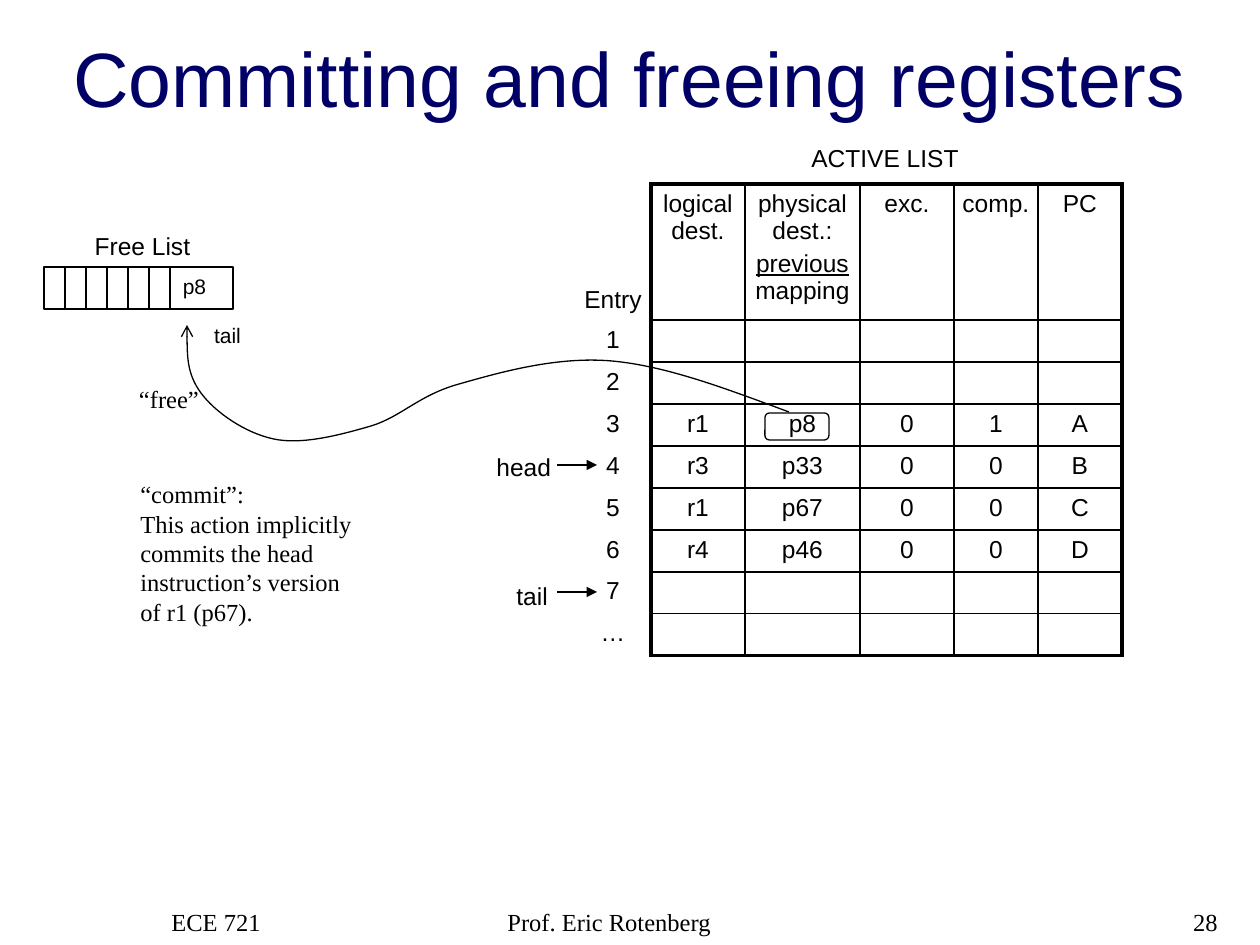
from dataclasses import dataclass

from lxml.etree import SubElement
from pptx import Presentation
from pptx.dml.color import RGBColor
from pptx.enum.shapes import MSO_CONNECTOR as Connector, MSO_SHAPE as Shape
from pptx.enum.text import MSO_ANCHOR as Anchor, MSO_AUTO_SIZE as AutoSize, PP_ALIGN as Align
from pptx.oxml.ns import qn
from pptx.util import Emu, Pt


@dataclass(frozen=True)
class Theme:
    navy: str = "000066"
    ink: str = "000000"
    sans: str = "Arial"
    serif: str = "Times New Roman"
    title: int = 44
    body: int = 14
    small: int = 12
    hairline: float = 0.75
    grid: float = 1
    frame: float = 2.25


THEME = Theme()
ENTRIES = [
    ("1", "", "", "", "", ""),
    ("2", "", "", "", "", ""),
    ("3", "r1", "p8", "0", "1", "A"),
    ("4", "r3", "p33", "0", "0", "B"),
    ("5", "r1", "p67", "0", "0", "C"),
    ("6", "r4", "p46", "0", "0", "D"),
    ("7", "", "", "", "", ""),
    ("…", "", "", "", "", ""),
]
HEADINGS = ("Entry", "logical dest.", "physical dest.:", "exc.", "comp.", "PC")


def px(length):
    return Emu(round(length * 914400 / 126))


def add_run(paragraph, text, size=THEME.body, face=THEME.sans, color=THEME.ink):
    run = paragraph.add_run()
    run.text = text
    run.font.size = Pt(size)
    run.font.name = face
    run.font.color.rgb = RGBColor.from_string(color)
    return run


def add_label(slide, box, text, align=Align.LEFT, size=THEME.body, face=THEME.sans, grow=True):
    label = slide.shapes.add_textbox(*map(px, box))
    frame = label.text_frame
    frame.word_wrap = not grow
    frame.auto_size = AutoSize.SHAPE_TO_FIT_TEXT if grow else AutoSize.NONE
    paragraph = frame.paragraphs[0]
    paragraph.alignment = align
    add_run(paragraph, text, size, face)
    return frame


def style_line(shape, arrowhead=None):
    shape.line.color.rgb = RGBColor.from_string(THEME.ink)
    shape.line.width = Pt(THEME.hairline)
    if arrowhead:
        SubElement(shape.line._get_or_add_ln(), qn("a:tailEnd"), type=arrowhead)


def add_line(slide, start, end, arrowhead=None):
    line = slide.shapes.add_connector(Connector.STRAIGHT, *map(px, start + end))
    style_line(line, arrowhead)
    SubElement(line._element.spPr, qn("a:effectLst"))


def add_outline(slide, kind, box):
    outline = slide.shapes.add_shape(kind, *map(px, box))
    outline.shadow.inherit = False
    outline.fill.background()
    style_line(outline)


def set_title(slide, box):
    title = slide.shapes.title
    title.left, title.top, title.width, title.height = map(px, box)
    frame = title.text_frame
    frame.vertical_anchor = Anchor.BOTTOM
    frame.auto_size = AutoSize.SHAPE_TO_FIT_TEXT
    paragraph = frame.paragraphs[0]
    paragraph.alignment = Align.CENTER
    add_run(paragraph, "Committing and freeing registers", THEME.title, color=THEME.navy)


def add_footer(slide, left, top, height):
    for offset, width, text, align in (
        (0, 262, "ECE 721", Align.LEFT),
        (336, 399, "Prof. Eric Rotenberg", Align.LEFT),
        (809, 262, "28", Align.RIGHT),
    ):
        add_label(slide, (left + offset, top, width, height), text, align, face=THEME.serif, grow=False)


def set_borders(cell, widths):
    properties = cell._tc.get_or_add_tcPr()
    for side, width in zip("LRTB", widths):
        border = SubElement(properties, qn(f"a:ln{side}"), w=str(Pt(width)))
        if width:
            fill = SubElement(border, qn("a:solidFill"))
            SubElement(fill, qn("a:srgbClr"), val=THEME.ink)
        else:
            SubElement(border, qn("a:noFill"))


def border_widths(row, column, last_row, last_column):
    if column == 0:
        return 0, THEME.frame, 0, 0
    return (
        THEME.frame if column == 1 else THEME.grid,
        THEME.frame if column == last_column else THEME.grid,
        THEME.frame if row == 0 else THEME.grid,
        THEME.frame if row == last_row else THEME.grid,
    )


def fill_cell(cell, text):
    cell.margin_left = cell.margin_right = cell.margin_top = cell.margin_bottom = px(6)
    paragraph = cell.text_frame.paragraphs[0]
    paragraph.alignment = Align.CENTER
    if text:
        add_run(paragraph, text)
    else:
        SubElement(paragraph._p, qn("a:endParaRPr"), sz=str(THEME.body * 100))


def add_active_list(slide, left, top):
    widths = (76, 94, 115, 94, 84, 84)
    heights = (136,) + (42,) * len(ENTRIES)
    rows = [HEADINGS, *ENTRIES]
    table = slide.shapes.add_table(
        len(rows), len(widths), px(left), px(top), px(sum(widths)), px(sum(heights))
    ).table
    table.first_row = table.horz_banding = False
    for column, width in zip(table.columns, widths):
        column.width = px(width)
    for row, height in zip(table.rows, heights):
        row.height = px(height)
    for r, texts in enumerate(rows):
        for c, text in enumerate(texts):
            cell = table.cell(r, c)
            fill_cell(cell, text)
            set_borders(cell, border_widths(r, c, len(rows) - 1, len(widths) - 1))
            cell.fill.background()
    table.cell(0, 0).vertical_anchor = Anchor.BOTTOM
    mapping = table.cell(0, 2).text_frame.add_paragraph()
    mapping.alignment = Align.CENTER
    mapping.space_before = Pt(2.8)
    add_run(mapping, "previous").font.underline = True
    add_run(mapping, " mapping")

    add_label(slide, (left + 224, top - 47, 175, 42), "ACTIVE LIST")
    add_outline(slide, Shape.ROUNDED_RECTANGLE, (left + 190, top + 229, 64, 27))
    for name, x, y, arrow_y in (("head", -91, 262, 281), ("tail", -71, 391, 408)):
        add_label(slide, (left + x, top + y, 83, 43), name)
        add_line(slide, (left - 18, top + arrow_y), (left + 22, top + arrow_y), "triangle")


def add_free_list(slide, left, top):
    slot, slots, width, height = 21, 6, 189, 42
    add_outline(slide, Shape.RECTANGLE, (left, top, width, height))
    for divider in range(1, slots + 1):
        x = left + divider * slot
        add_line(slide, (x, top), (x, top + height))
    for text, box, size in (
        ("p8", (slot * slots, 0, 49, 38), THEME.small),
        ("Free List", (38, -42, 121, 43), THEME.body),
        ("tail", (157, 49, 53, 38), THEME.small),
    ):
        x, y, w, h = box
        add_label(slide, (left + x, top + y, w, h), text, Align.CENTER, size)


def add_freeing_curve(slide, left, top):
    offsets = [
        (602, 87), (540, 64), (480, 41), (425, 36), (369, 31), (311, 48), (272, 59),
        (232, 70), (214, 92), (184, 101), (153, 110), (115, 120), (87, 114),
        (58, 108), (28, 87), (14, 68), (0, 49), (0, 24), (0, 0),
    ]
    start, *controls = [(px(left + x), px(top + y)) for x, y in offsets]
    builder = slide.shapes.build_freeform(*start)
    builder.add_line_segments(controls, close=False)
    curve = builder.convert_to_shape()
    curve.shadow.inherit = False
    curve.fill.background()
    style_line(curve, "arrow")
    outline = curve._element.spPr.find(".//" + qn("a:path"))
    segments = outline.findall(qn("a:lnTo"))
    for first in range(0, len(segments), 3):
        bend = SubElement(outline, qn("a:cubicBezTo"))
        for segment in segments[first:first + 3]:
            bend.append(segment[0])
            outline.remove(segment)


def add_commit_note(slide, left, top):
    add_label(slide, (left - 2, top - 95, 86, 43), "“free”", Align.CENTER, face=THEME.serif)
    note = add_label(slide, (left, top, 238, 161), "“commit”:", face=THEME.serif)
    action = note.add_paragraph()
    lines = ("This action implicitly", "commits the head", "instruction’s version", "of r1 (p67).")
    for index, line in enumerate(lines):
        if index:
            action.add_line_break()
        add_run(action, line, face=THEME.serif)


def main():
    deck = Presentation()
    deck.slide_width, deck.slide_height = px(1260), px(945)
    slide = deck.slides.add_slide(deck.slide_layouts[5])
    set_title(slide, (0, 23, 1260, 106))
    add_footer(slide, 159, 901, 44)
    add_active_list(slide, 575, 184)
    add_free_list(slide, 44, 267)
    add_freeing_curve(slide, 187, 325)
    add_commit_note(slide, 128, 473)
    deck.save("out.pptx")


if __name__ == "__main__":
    main()
